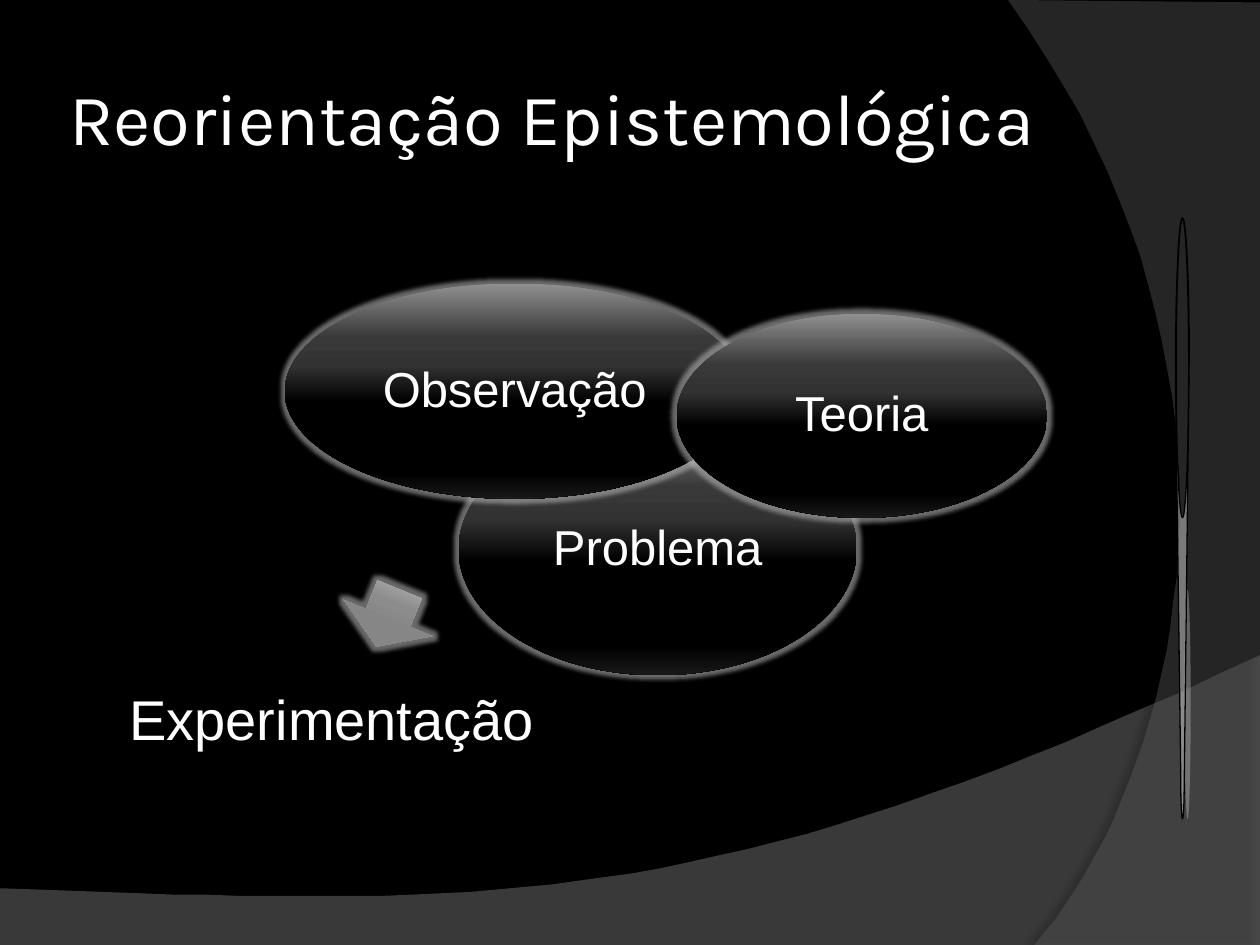
from typing import NamedTuple

from lxml.etree import SubElement
from pptx import Presentation
from pptx.dml.color import RGBColor
from pptx.enum.shapes import MSO_SHAPE as Preset
from pptx.enum.text import MSO_ANCHOR as Anchor, PP_ALIGN as Align
from pptx.oxml.ns import qn
from pptx.util import Pt

PX = 9144  # EMU per px, 100 px to the inch
CURVE_STEPS = 40
WHITE, BLACK = "FFFFFF", "000000"
STOP_PLACES = (0, 25, 38, 55, 80, 88, 100)
GLOSSY_BLACK = ("909090", "393939", "323232", BLACK, BLACK, BLACK, "181818")
GLOSSY_GREY = ("C6C6C6", "9F9F9F", "8C8C8C", "868686", "858585", "8C8C8C", "ACACAC")


class Box(NamedTuple):
    left: int
    top: int
    width: int
    height: int


class Point(NamedTuple):
    x: float
    y: float


class Shadow(NamedTuple):
    opacity: int
    blur: float
    distance: float
    angle: int


class Swoosh(NamedTuple):
    curve: tuple[Point, Point, Point, Point]
    corners: tuple[Point, ...]
    color: str
    opacity: int
    shadow: Shadow


class Concept(NamedTuple):
    label: str
    box: Box


SWOOSHES = (
    Swoosh((Point(1000, 520), Point(559, 729), Point(391, 719), Point(0, 705)),
           (Point(0, 750), Point(1000, 750)), "7F7F7F", 45, Shadow(35, 4, 3.5, 270)),
    Swoosh((Point(821, 750), Point(935, 619), Point(1018, 300), Point(800, 0)),
           (Point(1000, 2), Point(1000, 750)), "5E5E5E", 40, Shadow(45, 4, 4, 180)),
)
CONCEPTS = (
    Concept("Problema", Box(364, 336, 316, 200)),
    Concept("Observação", Box(226, 225, 365, 171)),
    Concept("Teoria", Box(537, 249, 294, 162)),
)


def rgb(color: str) -> RGBColor:
    return RGBColor.from_string(color)


def emu(box: Box) -> list[int]:
    return [length * PX for length in box]


def add_color(parent, color: str, opacity: int = 100) -> None:
    node = SubElement(parent, qn("a:srgbClr"), val=color)
    if opacity < 100:
        SubElement(node, qn("a:alpha"), val=str(opacity * 1000))


def fill_translucent(shape, color: str, opacity: int) -> None:
    shape.fill.solid()
    shape.fill.fore_color.rgb = rgb(color)
    node = shape.element.spPr.find(f"{qn('a:solidFill')}/{qn('a:srgbClr')}")
    SubElement(node, qn("a:alpha"), val=str(opacity * 1000))


def fill_glossy(shape, colors: tuple[str, ...]) -> None:
    """Fill from top to bottom, with one colour at each of STOP_PLACES."""
    shape.fill.gradient()
    shape.fill.gradient_angle = 270
    stops = shape.element.spPr.find(f"{qn('a:gradFill')}/{qn('a:gsLst')}")
    for stop in list(stops):
        stops.remove(stop)
    for place, color in zip(STOP_PLACES, colors):
        add_color(SubElement(stops, qn("a:gs"), pos=str(place * 1000)), color)


def clear_effects(shape):
    """Drop the theme's effects and return the empty effect list."""
    shape.shadow.inherit = False
    return shape.element.spPr.find(qn("a:effectLst"))


def add_preset(slide, preset: Preset, box: Box):
    shape = slide.shapes.add_shape(preset, *emu(box))
    clear_effects(shape)
    shape.line.fill.background()
    return shape


def add_glossy(slide, preset: Preset, box: Box, colors: tuple[str, ...]):
    shape = add_preset(slide, preset, box)
    fill_glossy(shape, colors)
    glow = SubElement(clear_effects(shape), qn("a:glow"), rad=str(Pt(5)))
    add_color(glow, "B0B0B0", 60)
    return shape


def bezier(curve: tuple[Point, Point, Point, Point]) -> list[Point]:
    points = []
    for step in range(CURVE_STEPS + 1):
        t = step / CURVE_STEPS
        weights = ((1 - t) ** 3, 3 * t * (1 - t) ** 2, 3 * t * t * (1 - t), t ** 3)
        points.append(Point(sum(w * p.x for w, p in zip(weights, curve)),
                            sum(w * p.y for w, p in zip(weights, curve))))
    return points


def add_swoosh(slide, swoosh: Swoosh) -> None:
    start, *rest = bezier(swoosh.curve)
    builder = slide.shapes.build_freeform(start.x, start.y, scale=PX)
    builder.add_line_segments([*rest, *swoosh.corners], close=True)
    shape = builder.convert_to_shape()
    fill_translucent(shape, swoosh.color, swoosh.opacity)
    shape.line.fill.background()
    shadow = swoosh.shadow
    node = SubElement(clear_effects(shape), qn("a:outerShdw"), blurRad=str(Pt(shadow.blur)),
                      dist=str(Pt(shadow.distance)), dir=str(shadow.angle * 60000))
    add_color(node, BLACK, shadow.opacity)


def write(shape, text: str, size: float, font: str, align: Align, inset: int) -> None:
    frame = shape.text_frame
    frame.word_wrap = True
    frame.vertical_anchor = Anchor.MIDDLE
    frame.margin_left = frame.margin_right = inset * PX
    frame.margin_top = frame.margin_bottom = inset * PX
    frame.text = text
    para = frame.paragraphs[0]
    para.alignment = align
    para.font.size = Pt(size)
    para.font.name = font
    para.font.color.rgb = rgb(WHITE)


def write_label(shape, text: str, size: int, inset: int) -> None:
    write(shape, text, size, "Arial", Align.CENTER, inset)
    shape.text_frame.paragraphs[0].line_spacing = 0.9


def main() -> None:
    deck = Presentation()
    deck.slide_width, deck.slide_height = 1000 * PX, 750 * PX
    slide = deck.slides.add_slide(deck.slide_layouts[5])
    slide.background.fill.solid()
    slide.background.fill.fore_color.rgb = rgb(BLACK)

    for swoosh in SWOOSHES:
        add_swoosh(slide, swoosh)

    title = slide.shapes.title
    title.left, title.top, title.width, title.height = emu(Box(50, 30, 817, 125))
    write(title, "Reorientação Epistemológica", 41.4, "Karla", Align.LEFT, 5)
    slide.shapes.element.append(title.element)  # in front of the swooshes

    sliver = add_preset(slide, Preset.OVAL, Box(940, 468, 5, 182))
    fill_translucent(sliver, "BDBDBD", 40)

    arrow = add_glossy(slide, Preset.DOWN_ARROW, Box(270, 466, 76, 49), GLOSSY_GREY)
    arrow.rotation = 22.2

    result = slide.shapes.add_textbox(*emu(Box(67, 525, 393, 97)))
    write_label(result, "Experimentação", 32, 25)

    for concept in CONCEPTS:
        ellipse = add_glossy(slide, Preset.OVAL, concept.box, GLOSSY_BLACK)
        write_label(ellipse, concept.label, 28, 4)

    funnel = add_preset(slide, Preset.FUNNEL, Box(933, 173, 11, 477))
    fill_translucent(funnel, "F8F8F8", 40)
    funnel.line.color.rgb = rgb(BLACK)
    funnel.line.width = Pt(0.75)

    deck.save("out.pptx")


if __name__ == "__main__":
    main()
